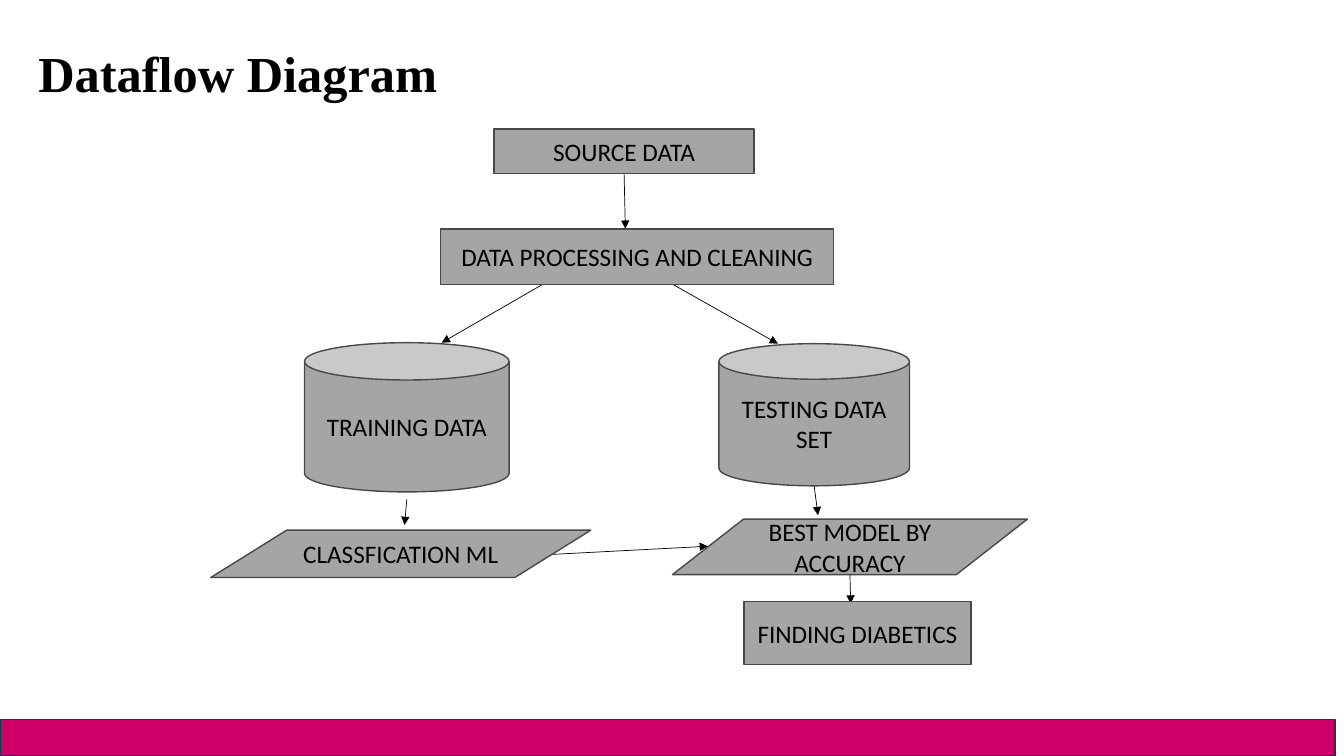
"""Build the dataflow diagram slide."""
from pptx import Presentation
from pptx import util as u
from pptx.dml.color import RGBColor
from pptx.enum import shapes, text
from pptx.oxml import parse_xml
from pptx.oxml.ns import nsdecls

TITLE = "Dataflow Diagram"
SHAPE = shapes.MSO_SHAPE
NODES = {
    "source": ("SOURCE DATA", SHAPE.RECTANGLE, 4.9, 1.28, 2.58, 0.44),
    "process": ("DATA PROCESSING AND CLEANING", SHAPE.RECTANGLE, 4.37, 2.27, 3.9, 0.55),
    "training": ("TRAINING DATA", SHAPE.CAN, 3.02, 3.4, 2.03, 1.48),
    "testing": ("TESTING DATA SET", SHAPE.CAN, 7.13, 3.41, 1.89, 1.41),
    "classify": ("CLASSFICATION ML", SHAPE.FLOWCHART_DATA, 2.09, 5.26, 3.77, 0.47),
    "best": ("BEST MODEL BY ACCURACY", SHAPE.FLOWCHART_DATA, 6.67, 5.15, 3.52, 0.55),
    "finding": ("FINDING DIABETICS", SHAPE.FLOWCHART_PROCESS, 7.38, 5.97, 2.25, 0.62),
}
# Each end is a node and a share of its width and height.
ARROWS = [
    (("source", 0.5, 1), ("process", 0.47, 0)),
    (("process", 0.26, 1), ("training", 0.67, 0)),
    (("process", 0.59, 1), ("testing", 0.31, 0)),
    (("training", 0.5, 1.05), ("classify", 0.51, -0.11)),
    (("testing", 0.5, 1), ("best", 0.41, -0.07)),
    (("classify", 0.9, 0.51), ("best", 0.1, 0.49)),
    (("best", 0.5, 1), ("finding", 0.47, 0.03)),
]
BLACK = RGBColor(0x00, 0x00, 0x00)
GRAY = RGBColor(0xA5, 0xA5, 0xA5)
EDGE = RGBColor(0x48, 0x48, 0x48)
PINK = RGBColor(0xCC, 0x00, 0x66)
NAVY = RGBColor(0x1E, 0x32, 0x56)


def add_box(s, kind, box, fill, line):
    sp = s.shapes.add_shape(kind, *map(u.Inches, box))
    sp.shadow.inherit = False
    sp.fill.solid()
    sp.fill.fore_color.rgb = fill
    sp.line.color.rgb = line
    sp.line.width = u.Pt(1)
    return sp


def add_node(s, label, kind, *box):
    tf = add_box(s, kind, box, GRAY, EDGE).text_frame
    tf.word_wrap = True
    tf.vertical_anchor = text.MSO_ANCHOR.MIDDLE
    p = tf.paragraphs[0]
    p.text = label
    p.alignment = text.PP_ALIGN.CENTER
    set_font(p, "Calibri", 18)


def set_font(p, name, size, bold=False):
    p.font.name, p.font.size, p.font.bold = name, u.Pt(size), bold
    p.font.color.rgb = BLACK


def anchor(node, fx, fy):
    x, y, w, h = NODES[node][2:]
    return u.Inches(x + fx * w), u.Inches(y + fy * h)


def add_arrow(s, start, end):
    c = s.shapes.add_connector(
        shapes.MSO_CONNECTOR.STRAIGHT, *anchor(*start), *anchor(*end))
    c.line.color.rgb = BLACK
    c.line.width = u.Pt(0.5)
    c.line._get_or_add_ln().append(
        parse_xml(f'<a:tailEnd {nsdecls("a")} type="triangle"/>'))
    c._element.spPr.append(parse_xml(f'<a:effectLst {nsdecls("a")}/>'))


def add_title(s):
    sp = s.shapes.title
    sp.left, sp.top, sp.width, sp.height = map(u.Inches, (0.28, 0.37, 6.84, 0.71))
    tf = sp.text_frame
    tf.vertical_anchor = text.MSO_ANCHOR.TOP
    tf.word_wrap = True
    p = tf.paragraphs[0]
    p.text = TITLE
    p.alignment = text.PP_ALIGN.LEFT
    set_font(p, "Times New Roman", 36, True)


def main():
    prs = Presentation()
    prs.slide_width, prs.slide_height = u.Inches(13.33), u.Inches(7.5)
    s = prs.slides.add_slide(prs.slide_layouts[5])
    add_title(s)
    add_box(s, SHAPE.RECTANGLE, (0, 7.14, 13.24, 0.36), PINK, NAVY)
    for start, end in ARROWS:
        add_arrow(s, start, end)
    for node in NODES.values():
        add_node(s, *node)
    prs.save("out.pptx")


if __name__ == "__main__":
    main()
